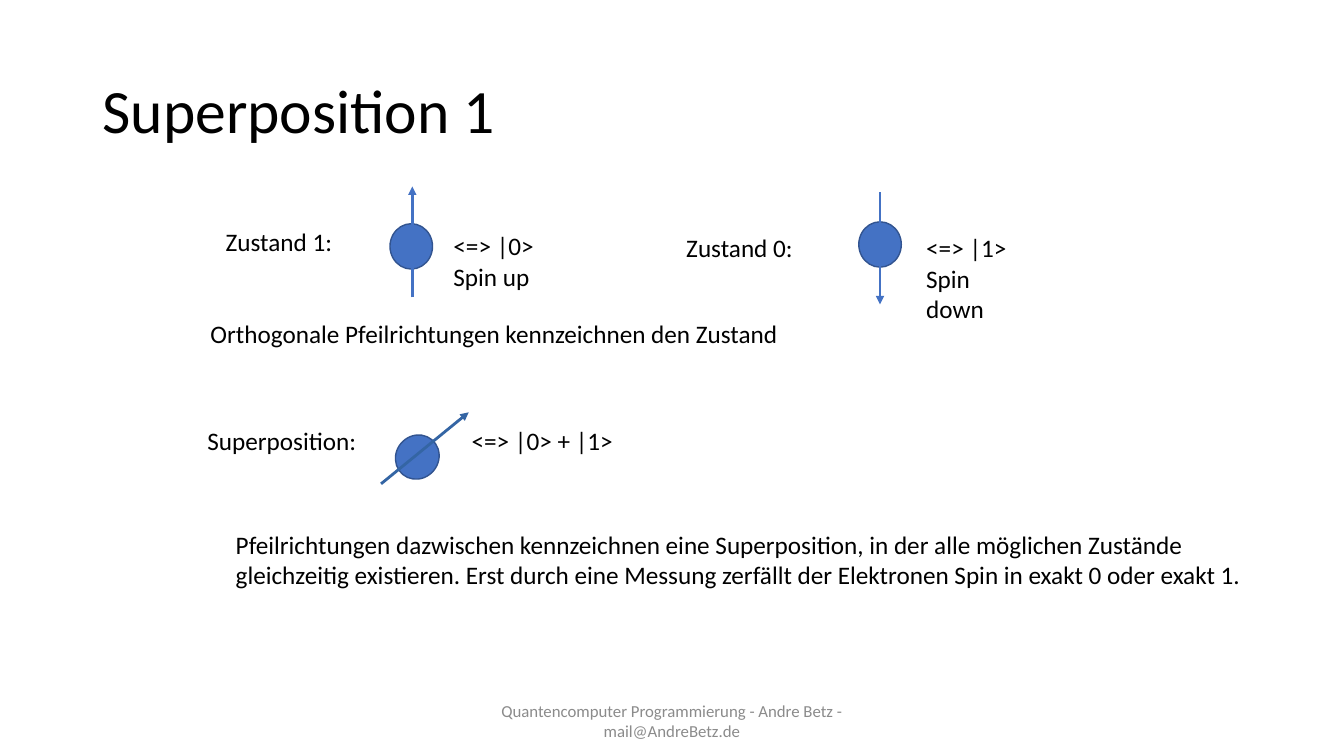
"""Build the slide on spin states and superposition."""
import pptx
import pptx.dml.color
import pptx.enum.shapes
import pptx.enum.text
import pptx.oxml
import pptx.oxml.ns
import pptx.util
from lxml import etree

Pt = pptx.util.Pt
ALIGN = pptx.enum.text.PP_ALIGN
ANCHOR = pptx.enum.text.MSO_ANCHOR


def color(value):
    return pptx.dml.color.RGBColor.from_string(value)


def write(frame, paragraphs, size=18, ink="000000", align=ALIGN.LEFT):
    for number, lines in enumerate(paragraphs):
        paragraph = frame.paragraphs[0] if number == 0 else frame.add_paragraph()
        paragraph.alignment = align
        for position, line in enumerate(lines.split("\n")):
            if position:
                paragraph.add_line_break()
            run = paragraph.add_run()
            run.text = line
            run.font.size = Pt(size)
            run.font.name = "Calibri"
            run.font.color.rgb = color(ink)


presentation = pptx.Presentation()
presentation.slide_width = Pt(960)
presentation.slide_height = Pt(540)
slide = presentation.slides.add_slide(presentation.slide_layouts[5])

title = slide.shapes.title
title.left, title.top, title.width, title.height = Pt(66), Pt(28.8), Pt(828), Pt(104.4)
title.text_frame.vertical_anchor = ANCHOR.MIDDLE
write(title.text_frame, ["Superposition 1"], size=44)
title.text_frame.paragraphs[0].line_spacing = 0.9

footer = slide.shapes.add_textbox(Pt(318), Pt(500.4), Pt(324), Pt(28.8)).text_frame
footer.word_wrap = True
footer.vertical_anchor = ANCHOR.MIDDLE
write(footer, ["Quantencomputer Programmierung - Andre Betz - mail@AndreBetz.de"],
      size=12, ink="8B8B8B", align=ALIGN.CENTER)

electron_width, electron_height = 30.4, 32.4
spins = [
    ((293.8, 176), 0, (294.5, 212.4), (294.5, 133.2), "4472C4", 2),
    ((628.6, 174.6), 180, (628.6, 137.5), (628.6, 217.4), "4472C4", 2),
    ((298.1, 326.5), 40.1, (272.2, 345.6), (334.8, 294.5), "3465A4", 0),
]
for (center_x, center_y), angle, start, end, ink, weight in spins:
    electron = slide.shapes.add_shape(
        pptx.enum.shapes.MSO_SHAPE.OVAL,
        Pt(center_x - electron_width / 2), Pt(center_y - electron_height / 2),
        Pt(electron_width), Pt(electron_height))
    electron.rotation = angle
    electron.shadow.inherit = False
    electron.fill.solid()
    electron.fill.fore_color.rgb = color("4472C4")
    electron.line.color.rgb = color("325490")
    electron.line.width = Pt(1)

    arrow = slide.shapes.add_connector(
        pptx.enum.shapes.MSO_CONNECTOR.STRAIGHT,
        Pt(start[0]), Pt(start[1]), Pt(end[0]), Pt(end[1]))
    arrow.line.color.rgb = color(ink)
    arrow.line.width = Pt(weight)
    etree.SubElement(arrow.line._get_or_add_ln(), pptx.oxml.ns.qn("a:tailEnd"), type="triangle")
    etree.SubElement(arrow._element.spPr, pptx.oxml.ns.qn("a:effectLst"))

labels = [
    (316.8, 161.3, 80.6, 50.4, True, ["<=> |0>\nSpin up"]),
    (154.1, 158.4, 105.1, 28.8, True, ["Zustand 1:"]),
    (654.5, 162.7, 80.6, 72, True, ["<=> |1>\nSpin down"]),
    (483.1, 162.7, 105.1, 28.8, True, ["Zustand 0:"]),
    (329.8, 300.2, 187.2, 28.8, True, ["<=> |0> + |1>"]),
    (141.1, 300.2, 134.6, 28.8, True, ["Superposition:"]),
    (161.3, 374.4, 736.6, 50.4, False, [
        "Pfeilrichtungen dazwischen kennzeichnen eine Superposition, in der alle möglichen Zustände",
        "gleichzeitig existieren. Erst durch eine Messung zerfällt der Elektronen Spin in exakt 0 oder exakt 1.",
    ]),
    (143.3, 223.9, 419.8, 28.8, False, ["Orthogonale Pfeilrichtungen kennzeichnen den Zustand"]),
]
for left, top, width, height, wraps, paragraphs in labels:
    label = slide.shapes.add_textbox(Pt(left), Pt(top), Pt(width), Pt(height)).text_frame
    label.word_wrap = wraps
    label.auto_size = pptx.enum.text.MSO_AUTO_SIZE.SHAPE_TO_FIT_TEXT
    write(label, paragraphs)

presentation.save("out.pptx")
